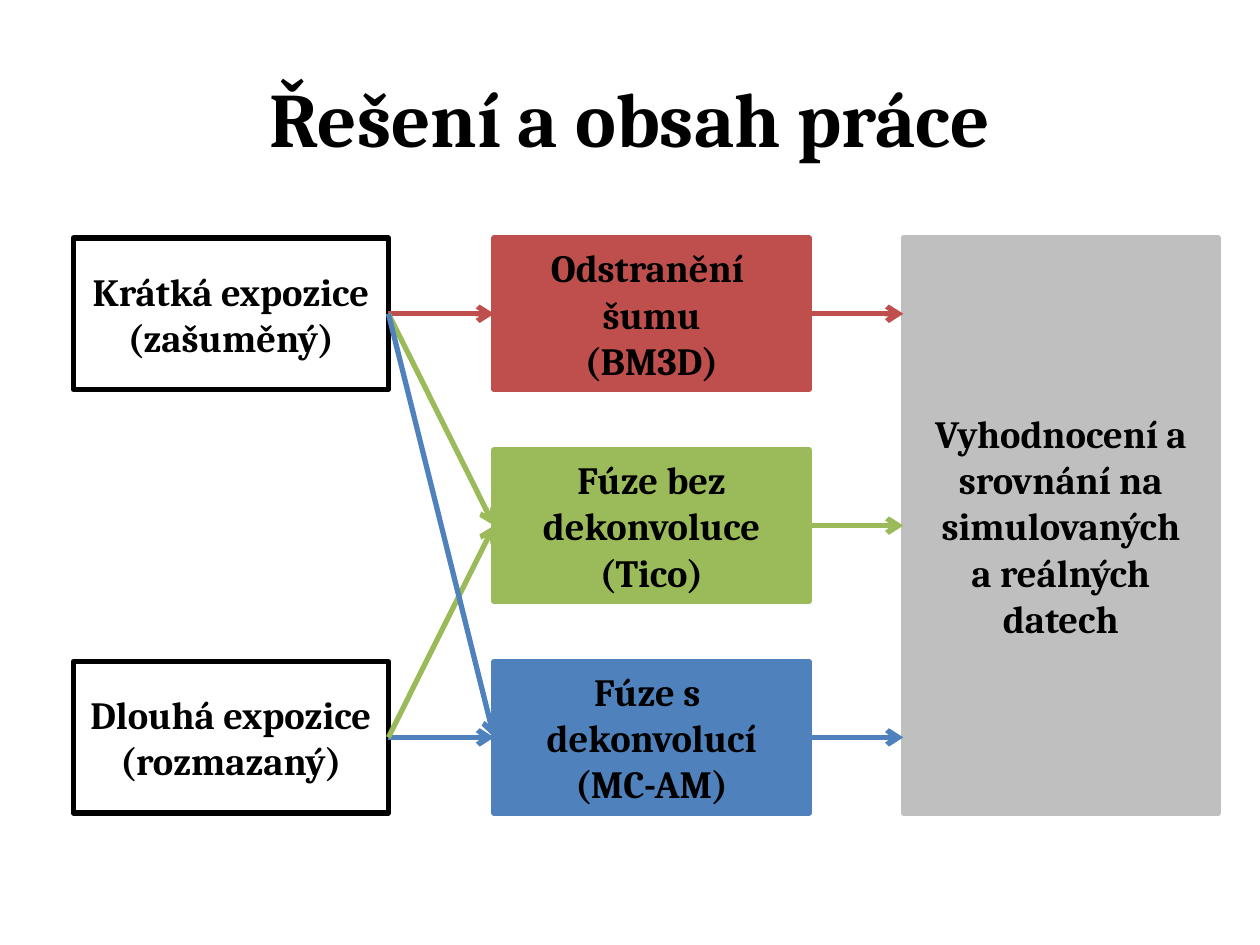
from lxml.etree import SubElement
from pptx import Presentation
from pptx.dml.color import RGBColor
from pptx.enum.shapes import MSO_CONNECTOR, MSO_SHAPE
from pptx.enum.text import MSO_ANCHOR, PP_ALIGN
from pptx.oxml.ns import qn
from pptx.util import Cm, Pt

BLACK = RGBColor(0x00, 0x00, 0x00)
WHITE = RGBColor(0xFF, 0xFF, 0xFF)
RED = RGBColor(0xBF, 0x4F, 0x4D)
GREEN = RGBColor(0x9B, 0xBA, 0x59)
BLUE = RGBColor(0x4F, 0x82, 0xBD)
GRAY = RGBColor(0xBF, 0xBF, 0xBF)

BOX_WIDTH, BOX_HEIGHT = 6.35, 3.05
INPUT_LEFT, METHOD_LEFT, RESULT_LEFT = 1.48, 9.96, 18.21
ROW_TOPS = [4.8 + 4.27 * row for row in range(3)]
LEFT_SITE, RIGHT_SITE = 1, 3

deck = Presentation()
deck.slide_width, deck.slide_height = Cm(25.4), Cm(19.05)
page = deck.slides.add_slide(deck.slide_layouts[5])


def write_text(shape, text, size):
    frame = shape.text_frame
    frame.text = text
    frame.word_wrap = True
    frame.vertical_anchor = MSO_ANCHOR.MIDDLE
    for para in frame.paragraphs:
        para.alignment = PP_ALIGN.CENTER
        para.font.name = "Cambria"
        para.font.size = Pt(size)
        para.font.bold = True
        para.font.color.rgb = BLACK


def add_arrow(source, target, color, end_y=None):
    arrow = page.shapes.add_connector(MSO_CONNECTOR.STRAIGHT, 0, 0, 0, 0)
    arrow.begin_connect(source, RIGHT_SITE)
    if end_y is None:
        arrow.end_connect(target, LEFT_SITE)
    else:
        arrow.end_x, arrow.end_y = target.left, end_y
    arrow.line.color.rgb = color
    arrow.line.width = Pt(3)
    properties = arrow.line._get_or_add_ln()
    SubElement(properties, qn("a:tailEnd"), type="arrow")
    SubElement(properties.getparent(), qn("a:effectLst"))


title = page.shapes.title
title.left, title.top, title.width, title.height = Cm(1.27), Cm(0.76), Cm(22.86), Cm(3.18)
write_text(title, "Řešení a obsah práce", 44)

box_specs = [
    ("short", INPUT_LEFT, ROW_TOPS[0], BOX_HEIGHT, WHITE, BLACK, "Krátká expozice (zašuměný)"),
    ("long", INPUT_LEFT, ROW_TOPS[2], BOX_HEIGHT, WHITE, BLACK, "Dlouhá expozice (rozmazaný)"),
    ("denoise", METHOD_LEFT, ROW_TOPS[0], BOX_HEIGHT, RED, RED, "Odstranění \nšumu\n(BM3D)"),
    ("fusion", METHOD_LEFT, ROW_TOPS[1], BOX_HEIGHT, GREEN, GREEN, "Fúze bez dekonvoluce\n(Tico)"),
    ("deconvolution", METHOD_LEFT, ROW_TOPS[2], BOX_HEIGHT, BLUE, BLUE,
     "Fúze s \ndekonvolucí\n(MC-AM)"),
    ("result", RESULT_LEFT, ROW_TOPS[0], ROW_TOPS[2] - ROW_TOPS[0] + BOX_HEIGHT, GRAY, GRAY,
     "Vyhodnocení a srovnání na simulovaných\na reálných\ndatech"),
]
boxes = {}
for name, left, top, height, fill, outline, text in box_specs:
    box = page.shapes.add_shape(
        MSO_SHAPE.RECTANGLE, Cm(left), Cm(top), Cm(BOX_WIDTH), Cm(height)
    )
    box.shadow.inherit = False
    box.fill.solid()
    box.fill.fore_color.rgb = fill
    box.line.color.rgb = outline
    box.line.width = Pt(3)
    write_text(box, text, 22)
    boxes[name] = box

for source, target, color in [
    ("short", "denoise", RED),
    ("short", "fusion", GREEN),
    ("long", "deconvolution", BLUE),
    ("long", "fusion", GREEN),
    ("short", "deconvolution", BLUE),
]:
    add_arrow(boxes[source], boxes[target], color)

for name, color in [("denoise", RED), ("fusion", GREEN), ("deconvolution", BLUE)]:
    method = boxes[name]
    add_arrow(method, boxes["result"], color, method.top + method.height // 2)

deck.save("out.pptx")
